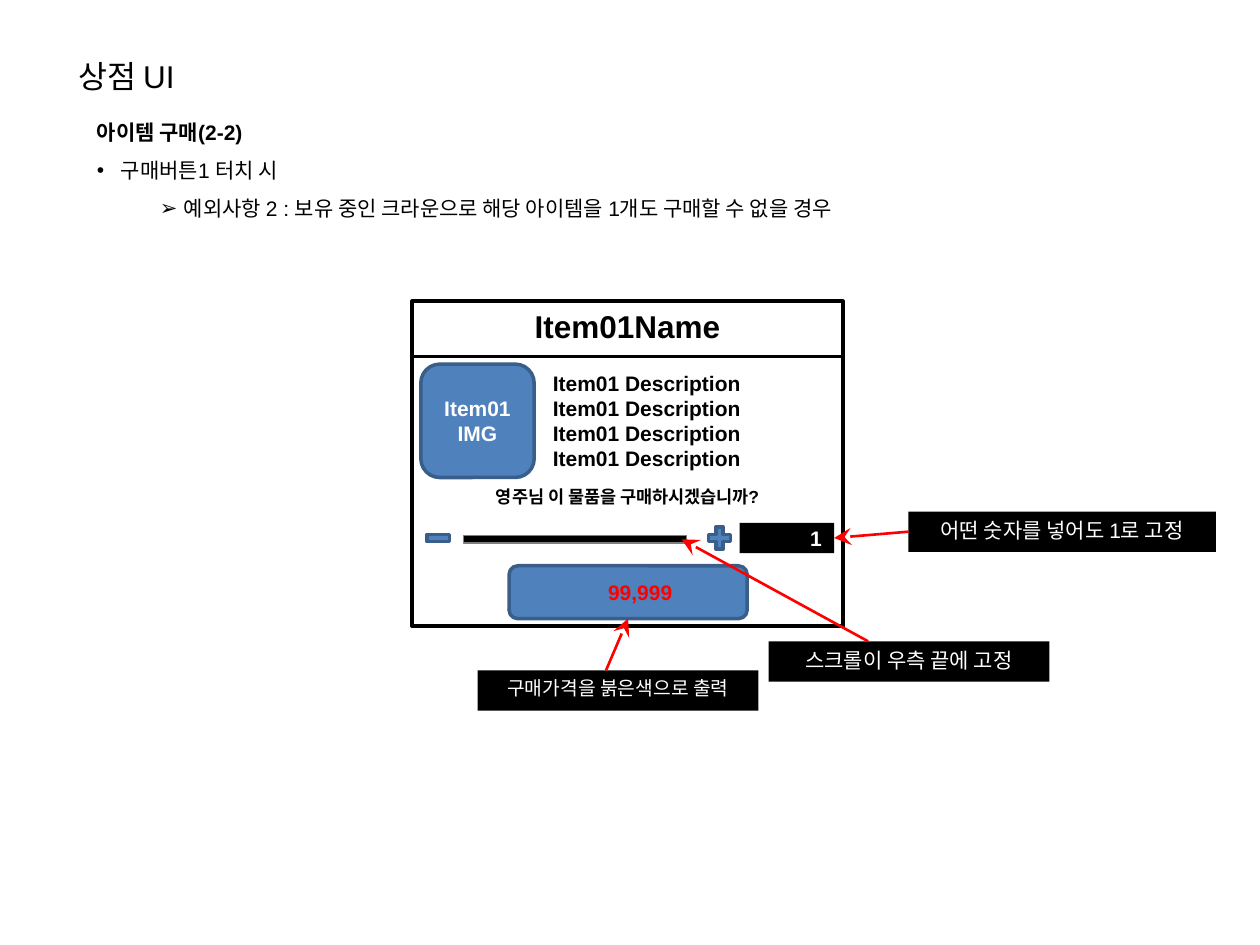
"""Build the shop UI slide that explains an item purchase exception."""
from lxml import etree
from pptx import Presentation
from pptx.dml.color import RGBColor
from pptx.enum import shapes as kinds, text as t
from pptx.oxml.ns import qn
from pptx.util import Inches, Pt

BLACK = RGBColor(0x00, 0x00, 0x00)
WHITE = RGBColor(0xFF, 0xFF, 0xFF)
RED = RGBColor(0xFF, 0x00, 0x00)
BLUE = RGBColor(0x4F, 0x81, 0xBD)
NAVY = RGBColor(0x39, 0x5E, 0x89)
GRAY = RGBColor(0x7F, 0x7F, 0x7F)

SHAPE = kinds.MSO_SHAPE
LEFT, CENTER, RIGHT = t.PP_ALIGN.LEFT, t.PP_ALIGN.CENTER, t.PP_ALIGN.RIGHT
TOP, MIDDLE = t.MSO_ANCHOR.TOP, t.MSO_ANCHOR.MIDDLE

TITLE = "상점 UI"
TITLE_BOX = (0.52, 0.4, 1.04, 0.4)
OUTLINE_BOX = (0.67, 0.8, 9.21, 1.01)
OUTLINE = [
    ("아이템 구매(2-2)", 0, None, 0, True),
    ("구매버튼1 터치 시", 0, "•", 0.19, False),
    ("예외사항 2 : 보유 중인 크라운으로 해당 아이템을 1개도 구매할 수 없을 경우", 1, "➢", 0.69, False),
]

DIALOG_LEFT, DIALOG_TOP, DIALOG_WIDTH, DIALOG_HEIGHT = 3.27, 2.39, 3.42, 2.58
DIVIDER_Y = 2.83
CONTROL_Y, CONTROL_SIZE = 4.15, 0.24
DESCRIPTION = "\n".join(["Item01 Description"] * 4)

DIALOG_SHAPES = {
    "image": (SHAPE.ROUNDED_RECTANGLE, (3.34, 2.89, 0.9, 0.9), BLUE, NAVY, 2),
    "price": (SHAPE.ROUNDED_RECTANGLE, (4.04, 4.49, 1.89, 0.42), BLUE, NAVY, 2),
    "minus": (SHAPE.MATH_MINUS, (3.36, CONTROL_Y, CONTROL_SIZE, CONTROL_SIZE), BLUE, NAVY, 2),
    "plus": (SHAPE.MATH_PLUS, (5.59, CONTROL_Y, CONTROL_SIZE, CONTROL_SIZE), BLUE, NAVY, 2),
    "count": (SHAPE.RECTANGLE, (5.87, CONTROL_Y, 0.75, CONTROL_SIZE), BLACK, None, 0),
    "scroll": (SHAPE.RECTANGLE, (3.68, 4.25, 1.77, 0.06), BLACK, GRAY, 1),
}
DIALOG_LABELS = {
    "image": ("Item01\nIMG", WHITE, CENTER),
    "price": ("99,999", RED, CENTER),
    "count": ("1", WHITE, RIGHT),
}
DIALOG_TEXTS = [
    ("Item01Name", (DIALOG_LEFT, DIALOG_TOP, DIALOG_WIDTH, 0.4), 18, CENTER),
    (DESCRIPTION, (4.29, 2.89, 2.33, 0.91), 12, LEFT),
    ("영주님 이 물품을 구매하시겠습니까?", (DIALOG_LEFT, 3.81, DIALOG_WIDTH, 0.27), 10, CENTER),
]
CALLOUTS = [
    ("구매가격을 붉은색으로 출력", (3.79, 5.32, 2.23, 0.32), 11,
     (4.81, 5.32), (4.98, 4.9), None, ("price", 2)),
    ("스크롤이 우측 끝에 고정", (6.1, 5.09, 2.23, 0.32), 12,
     (6.89, 5.09), (5.41, 4.28), None, None),
    ("어떤 숫자를 넣어도 1로 고정", (7.21, 4.06, 2.44, 0.32), 12,
     (7.21, 4.22), (6.62, 4.27), 1, ("count", 3)),
]


def inches(values):
    return [Inches(value) for value in values]


def apply(target, settings):
    for name, value in settings.items():
        setattr(target, name, value)


def write(paragraph, wording, size, color, bold=False, align=LEFT):
    paragraph.text = wording
    paragraph.alignment = align
    for run in paragraph.runs:
        apply(run.font, {"name": "Arial", "size": Pt(size), "bold": bold})
        run.font.color.rgb = color
    for line_break in paragraph._p.findall(qn("a:br")):
        etree.SubElement(line_break, qn("a:rPr"), sz=str(size * 100))


def add_block(parent, kind, box, fill, line=None, weight=0):
    block = parent.add_shape(kind, *inches(box))
    block.shadow.inherit = False
    block.fill.solid()
    block.fill.fore_color.rgb = fill
    if line is None:
        block.line.fill.background()
    else:
        block.line.color.rgb = line
        block.line.width = Pt(weight)
    return block


def add_line(parent, start, end, color, weight):
    line = parent.add_connector(kinds.MSO_CONNECTOR.STRAIGHT, *inches(start + end))
    line.line.color.rgb = color
    line.line.width = Pt(weight)
    etree.SubElement(line._element.spPr, qn("a:effectLst"))
    return line


def add_outline(slide):
    frame = slide.shapes.add_textbox(*inches(OUTLINE_BOX)).text_frame
    frame.word_wrap = True
    for index, (wording, level, mark, margin, bold) in enumerate(OUTLINE):
        paragraph = frame.paragraphs[0] if index == 0 else frame.add_paragraph()
        apply(paragraph, {"level": level, "line_spacing": 1.5})
        if mark:
            properties = paragraph._p.get_or_add_pPr()
            properties.set("marL", str(Inches(margin)))
            properties.set("indent", str(-Inches(0.19)))
            etree.SubElement(properties, qn("a:buFont"), typeface="Arial")
            etree.SubElement(properties, qn("a:buChar"), char=mark)
        write(paragraph, wording, 12, BLACK, bold)


def add_dialog(slide):
    dialog = slide.shapes.add_group_shape().shapes
    add_block(dialog, SHAPE.RECTANGLE,
              (DIALOG_LEFT, DIALOG_TOP, DIALOG_WIDTH, DIALOG_HEIGHT), WHITE, BLACK, 2)
    add_line(dialog, (DIALOG_LEFT, DIVIDER_Y),
             (DIALOG_LEFT + DIALOG_WIDTH, DIVIDER_Y), BLACK, 2)
    for wording, box, size, align in DIALOG_TEXTS:
        frame = dialog.add_textbox(*inches(box)).text_frame
        frame.word_wrap = True
        write(frame.paragraphs[0], wording, size, BLACK, True, align)
    parts = {name: add_block(dialog, *form) for name, form in DIALOG_SHAPES.items()}
    for name, (wording, color, align) in DIALOG_LABELS.items():
        frame = parts[name].text_frame
        frame.vertical_anchor = MIDDLE
        write(frame.paragraphs[0], wording, 12, color, True, align)
    parts["price"].text_frame.margin_left = Inches(0.29)
    return parts


def add_callouts(slide, parts):
    for wording, box, size, start, end, start_site, target in CALLOUTS:
        label = add_block(slide.shapes, SHAPE.RECTANGLE, box, BLACK)
        label.text_frame.vertical_anchor = TOP
        write(label.text_frame.paragraphs[0], wording, size, WHITE, align=CENTER)
        arrow = add_line(slide.shapes, start, end, RED, 1.5)
        etree.SubElement(arrow.line._get_or_add_ln(), qn("a:tailEnd"),
                         type="stealth", w="lg", len="lg")
        if start_site is not None:
            arrow.begin_connect(label, start_site)
        if target:
            name, site = target
            arrow.end_connect(parts[name], site)


def main():
    deck = Presentation()
    apply(deck, {"slide_width": Inches(10), "slide_height": Inches(7.5)})
    slide = deck.slides.add_slide(deck.slide_layouts[5])
    title = slide.shapes.title
    apply(title, dict(zip(("left", "top", "width", "height"), inches(TITLE_BOX))))
    apply(title.text_frame, {"word_wrap": False, "vertical_anchor": TOP,
                             "auto_size": t.MSO_AUTO_SIZE.NONE})
    write(title.text_frame.paragraphs[0], TITLE, 18, BLACK)
    add_outline(slide)
    add_callouts(slide, add_dialog(slide))
    deck.save("out.pptx")


if __name__ == "__main__":
    main()
